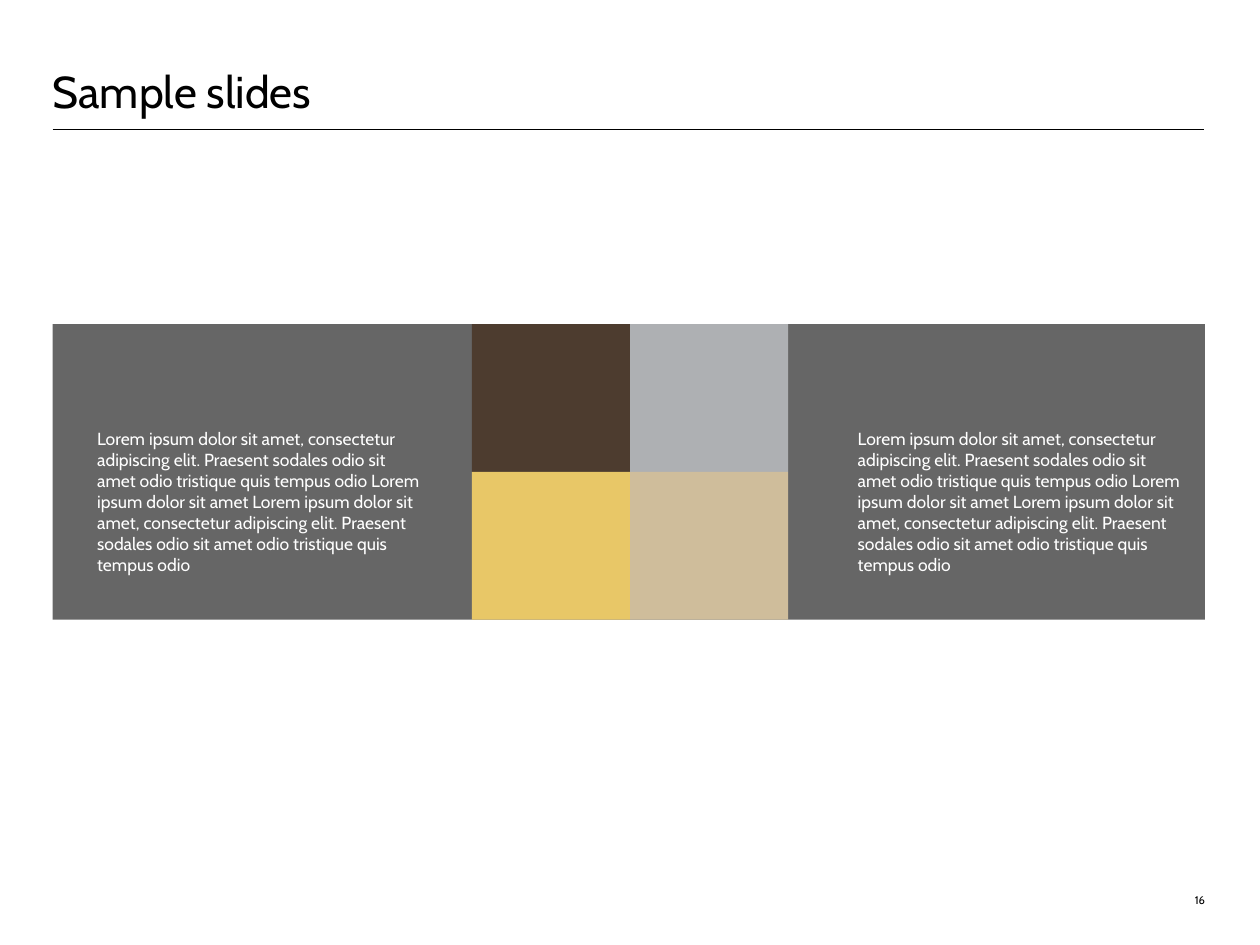
from dataclasses import dataclass

from lxml import etree
from pptx import Presentation
from pptx.dml.color import RGBColor
from pptx.enum import shapes, text
from pptx.oxml.ns import qn
from pptx.util import Inches, Pt

FONT = "Cabin"
MARGIN, BAND_TOP = 0.46, 2.83
TILE_LEFT, TILE_WIDTH, TILE_HEIGHT = 4.12, 1.38, 1.29
BAND_WIDTH, BAND_HEIGHT = 10.06, 2 * TILE_HEIGHT
LOREM = "Lorem ipsum dolor sit amet"
SENTENCE = f"{LOREM}, consectetur adipiscing elit. Praesent sodales odio sit amet odio tristique quis tempus odio"
BODY = f"{SENTENCE} {LOREM} {SENTENCE}"


@dataclass
class Area:
    left: float
    top: float
    width: float
    height: float

    def lengths(self) -> list:
        return [Inches(v) for v in (self.left, self.top, self.width, self.height)]


@dataclass
class Tile:
    column: int
    row: int
    colour: str

    def area(self) -> Area:
        return Area(TILE_LEFT + self.column * TILE_WIDTH,
                    BAND_TOP + self.row * TILE_HEIGHT, TILE_WIDTH, TILE_HEIGHT)


TILES = [Tile(0, 0, "4D3C2F"), Tile(1, 0, "AEB0B3"),
         Tile(0, 1, "E8C767"), Tile(1, 1, "CFBD9B")]


def rgb(value: str) -> RGBColor:
    return RGBColor.from_string(value)


def apply(target, formats: dict) -> None:
    for name, value in formats.items():
        setattr(target, name, value)


def write(box, words: str, size: float, colour: str, frame_format: dict, para_format: dict) -> None:
    frame = box.text_frame
    apply(frame, {"word_wrap": True, **frame_format})
    para = frame.paragraphs[0]
    apply(para, para_format)
    span = para.add_run()
    span.text = words
    apply(span.font, {"name": FONT, "size": Pt(size)})
    span.font.color.rgb = rgb(colour)


def draw_block(page, area: Area, colour: str) -> None:
    block = page.shapes.add_shape(shapes.MSO_SHAPE.RECTANGLE, *area.lengths())
    block.shadow.inherit = False
    block.fill.solid()
    block.fill.fore_color.rgb = rgb(colour)
    block.line.fill.background()


def draw_rule(page, left: float, right: float, top: float) -> None:
    rule = page.shapes.add_connector(shapes.MSO_CONNECTOR.STRAIGHT, Inches(left),
                                     Inches(top), Inches(right), Inches(top))
    rule.line.color.rgb = rgb("000000")
    rule.line.width = Pt(0.75)
    etree.SubElement(rule.element.spPr, qn("a:effectLst"))


def main() -> None:
    deck = Presentation()
    apply(deck, {"slide_width": Inches(11), "slide_height": Inches(8.25)})
    page = deck.slides.add_slide(deck.slide_layouts.get_by_name("Title Only"))
    flush = {f"margin_{side}": 0 for side in ("left", "top", "right", "bottom")}
    flush |= {"vertical_anchor": text.MSO_ANCHOR.BOTTOM, "auto_size": text.MSO_AUTO_SIZE.NONE}

    # Title and rule
    title = page.shapes.title
    apply(title, dict(zip(("left", "top", "width", "height"),
                          Area(MARGIN, 0, 10.05, 1.03).lengths())))
    write(title, "Sample slides", 28, "000000", flush,
          {"alignment": text.PP_ALIGN.LEFT, "line_spacing": Pt(32)})
    draw_rule(page, MARGIN, 10.51, 1.13)

    # Grey band with the colour tiles
    draw_block(page, Area(MARGIN, BAND_TOP, BAND_WIDTH, BAND_HEIGHT), "666666")
    for tile in TILES:
        draw_block(page, tile.area(), tile.colour)

    # Text on either side of the tiles
    for left in (0.75, 7.39):
        box = page.shapes.add_textbox(*Area(left, 3.69, 3.06, 1.4).lengths())
        write(box, BODY, 11, "FFFFFF", {"auto_size": text.MSO_AUTO_SIZE.SHAPE_TO_FIT_TEXT},
              {"alignment": text.PP_ALIGN.LEFT})

    # Page number
    number = page.shapes.add_textbox(*Area(10.07, 7.5, 0.45, 0.42).lengths())
    write(number, "16", 7, "000000", flush, {"alignment": text.PP_ALIGN.RIGHT})

    deck.save("out.pptx")


if __name__ == "__main__":
    main()
